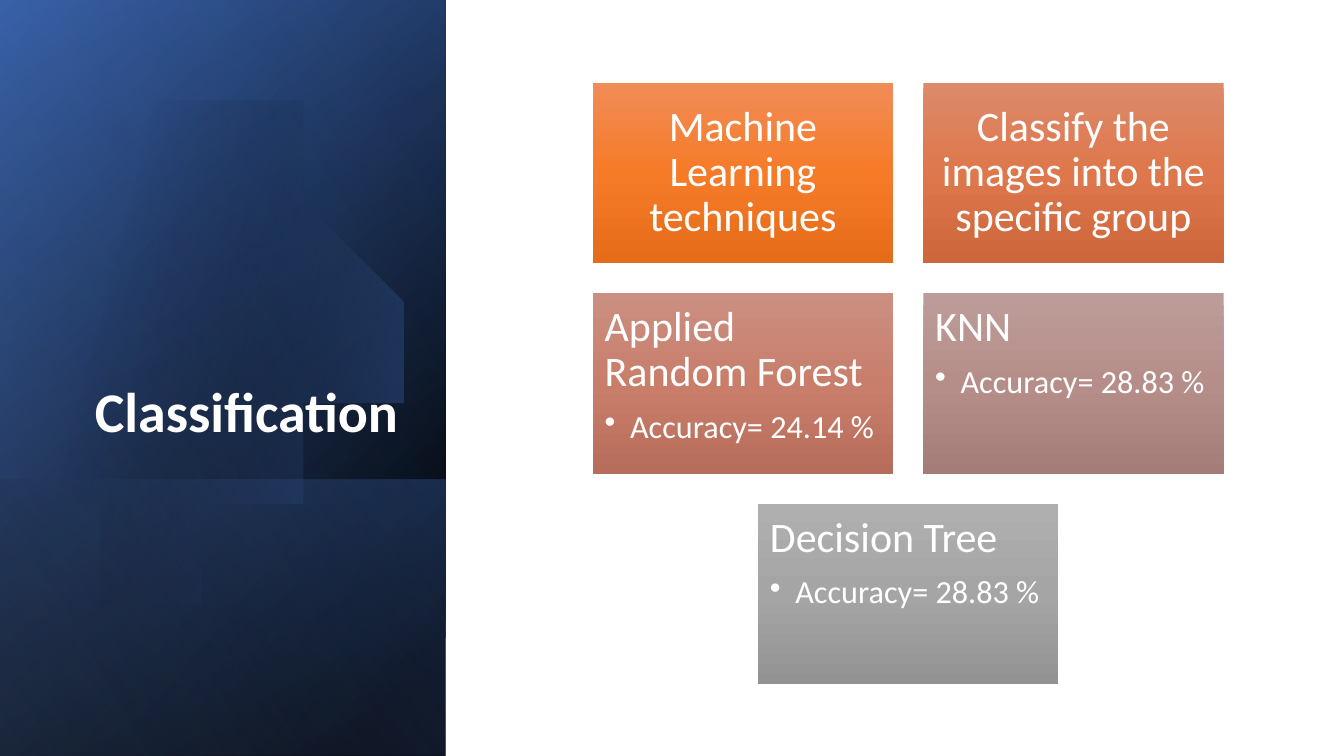
from dataclasses import dataclass

import pptx
import pptx.dml.color
import pptx.enum.shapes
import pptx.enum.text
import pptx.oxml.ns
import pptx.util
from lxml import etree

Cm = pptx.util.Cm
Pt = pptx.util.Pt
qn = pptx.oxml.ns.qn
Align = pptx.enum.text.PP_ALIGN
Anchor = pptx.enum.text.MSO_ANCHOR
RECTANGLE = pptx.enum.shapes.MSO_SHAPE.RECTANGLE


@dataclass(frozen=True)
class Theme:
    font: str = "Calibri"
    text: str = "FFFFFF"
    dark: str = "000000"
    navy: str = "2F5597"
    blue: str = "4472C4"
    pale: str = "8FAADC"
    title_size: int = 40
    heading_size: int = 30
    detail_size: int = 23


THEME = Theme()


@dataclass(frozen=True)
class Stop:
    position: int
    color: str
    opacity: int = 100


@dataclass(frozen=True)
class Panel:
    top: float
    height: float
    angle: int
    stops: tuple[Stop, Stop]


@dataclass(frozen=True)
class Card:
    heading: str
    colors: tuple[str, str, str]
    detail: str = ""


# Sidebar layers, in centimetres
SLIDE_WIDTH, SLIDE_HEIGHT = 33.87, 19.05
SIDEBAR_WIDTH = 11.23
BACK_PANELS = (
    Panel(0, SLIDE_HEIGHT, 50, (Stop(8, THEME.dark), Stop(100, THEME.navy))),
    Panel(0, SLIDE_HEIGHT, 30, (Stop(0, THEME.dark, 0), Stop(99, THEME.blue, 46))),
    Panel(12.09, 6.96, 130, (Stop(2, THEME.blue, 29), Stop(100, THEME.dark, 30))),
)
FRONT_PANEL = Panel(0, SLIDE_HEIGHT, 120, (Stop(0, THEME.dark, 0), Stop(99, THEME.pale, 11)))

# Disc outline in inches: start, then cubic curves (two controls and an end)
Point = tuple[float, float]
DISC_START: Point = (1.49, 1.1)
DISC_RIGHT: tuple[tuple[Point, Point, Point], ...] = (
    ((2.46, 1.12), (3.35, 1.77), (3.63, 2.75)),
    ((3.98, 3.97), (3.28, 5.23), (2.07, 5.58)),
    ((1.31, 5.8), (0.53, 5.61), (-0.03, 5.14)),
)
DISC_EDGE: tuple[Point, ...] = ((-0.15, 5.03), (-0.15, 1.75), (0, 1.61))
DISC_TOP: tuple[tuple[Point, Point, Point], ...] = (
    ((0.23, 1.42), (0.5, 1.28), (0.8, 1.19)),
    ((1.03, 1.13), (1.26, 1.1), DISC_START),
)

# Card grid, in centimetres
CARD_WIDTH, CARD_HEIGHT, CARD_GAP = 7.57, 4.55, 0.76
CARDS_CENTER, CARDS_TOP, CARD_INSET = 22.89, 2.08, 0.3
CARD_ROWS = (
    (
        Card("Machine Learning techniques", ("F18C57", "F67B28", "E56C19")),
        Card("Classify the images into the specific group", ("DD8A6A", "DE774B", "CD673B")),
    ),
    (
        Card("Applied Random Forest", ("CB8F81", "C97E6B", "B76D5B"), "Accuracy= 24.14 %"),
        Card("KNN", ("BC9C99", "B68E89", "A47C78"), "Accuracy= 28.83 %"),
    ),
    (Card("Decision Tree", ("AFAFAF", "A5A5A5", "939393"), "Accuracy= 28.83 %"),),
)


def paint(shape, stops: tuple[Stop, ...], angle: int) -> None:
    """Give a shape a linear gradient without line or shadow."""
    shape.shadow.inherit = False
    shape.line.fill.background()
    shape.fill.gradient()
    gradient = shape._element.spPr.find(qn("a:gradFill"))
    gradient.find(qn("a:lin")).set("ang", str(angle * 60000))
    stop_list = gradient.find(qn("a:gsLst"))
    for old_stop in list(stop_list):
        stop_list.remove(old_stop)
    for stop in stops:
        entry = etree.SubElement(stop_list, qn("a:gs"), pos=str(stop.position * 1000))
        color = etree.SubElement(entry, qn("a:srgbClr"), val=stop.color)
        if stop.opacity < 100:
            etree.SubElement(color, qn("a:alpha"), val=str(stop.opacity * 1000))


def format_paragraph(paragraph, size: int, alignment, bold: bool = False) -> None:
    paragraph.alignment = alignment
    paragraph.line_spacing = 0.9
    for run in paragraph.runs:
        run.font.name = THEME.font
        run.font.size = Pt(size)
        run.font.bold = bold
        run.font.color.rgb = pptx.dml.color.RGBColor.from_string(THEME.text)


def add_panel(slide, panel: Panel) -> None:
    """Draw a sidebar layer, mirrored and turned a quarter."""
    left = (SIDEBAR_WIDTH - panel.height) / 2
    top = panel.top + (panel.height - SIDEBAR_WIDTH) / 2
    shape = slide.shapes.add_shape(
        RECTANGLE, Cm(left), Cm(top), Cm(panel.height), Cm(SIDEBAR_WIDTH)
    )
    shape.rotation = 90
    shape._element.spPr.find(qn("a:xfrm")).set("flipH", "1")
    paint(shape, panel.stops, panel.angle)


def trace_curves(start: Point, curves: tuple[tuple[Point, Point, Point], ...]) -> list[Point]:
    """Sample points along joined cubic curves."""
    points = []
    steps = 24
    for first, second, end in curves:
        for step in range(1, steps + 1):
            t = step / steps
            weights = ((1 - t) ** 3, 3 * t * (1 - t) ** 2, 3 * t**2 * (1 - t), t**3)
            corners = (start, first, second, end)
            points.append(tuple(
                sum(weight * corner[axis] for weight, corner in zip(weights, corners))
                for axis in (0, 1)
            ))
        start = end
    return points


def add_disc(slide) -> None:
    points = [
        *trace_curves(DISC_START, DISC_RIGHT),
        *DISC_EDGE,
        *trace_curves(DISC_EDGE[-1], DISC_TOP),
    ]
    builder = slide.shapes.build_freeform(*DISC_START, scale=Cm(2.54))
    builder.add_line_segments(points, close=True)
    paint(builder.convert_to_shape(), (Stop(29, THEME.dark, 0), Stop(100, THEME.blue, 43)), 14)


def add_title(slide) -> None:
    title = slide.shapes.title
    title.left, title.top, title.width, title.height = Cm(1.63), Cm(4.67), Cm(8.66), Cm(6.65)
    title.text_frame.text = "Classification"
    title.text_frame.vertical_anchor = Anchor.BOTTOM
    format_paragraph(title.text_frame.paragraphs[0], THEME.title_size, Align.RIGHT, bold=True)
    slide.shapes._spTree.append(title._element)  # in front of the sidebar


def add_card(slide, card: Card, left: float, top: float) -> None:
    shape = slide.shapes.add_shape(RECTANGLE, Cm(left), Cm(top), Cm(CARD_WIDTH), Cm(CARD_HEIGHT))
    paint(shape, tuple(Stop(50 * i, color) for i, color in enumerate(card.colors)), 90)
    frame = shape.text_frame
    frame.word_wrap = True
    frame.margin_left = frame.margin_right = Cm(CARD_INSET)
    frame.margin_top = frame.margin_bottom = Cm(CARD_INSET)
    frame.vertical_anchor = Anchor.TOP if card.detail else Anchor.MIDDLE
    frame.text = card.heading
    heading = frame.paragraphs[0]
    format_paragraph(heading, THEME.heading_size, Align.LEFT if card.detail else Align.CENTER)
    if card.detail:
        heading.space_after = Pt(10.5)
        detail = frame.add_paragraph()
        detail.text = card.detail
        detail.level = 1
        format_paragraph(detail, THEME.detail_size, Align.LEFT)
        properties = detail._p.get_or_add_pPr()
        properties.set("marL", str(Cm(0.64)))
        properties.set("indent", str(-Cm(0.64)))
        etree.SubElement(properties, qn("a:buChar"), char="•")


def main() -> None:
    presentation = pptx.Presentation()
    presentation.slide_width, presentation.slide_height = Cm(SLIDE_WIDTH), Cm(SLIDE_HEIGHT)
    slide = presentation.slides.add_slide(presentation.slide_layouts.get_by_name("Title Only"))

    # Sidebar
    for panel in BACK_PANELS:
        add_panel(slide, panel)
    add_disc(slide)
    add_panel(slide, FRONT_PANEL)
    add_title(slide)

    # Cards, each row centred
    for row, cards in enumerate(CARD_ROWS):
        row_width = len(cards) * (CARD_WIDTH + CARD_GAP) - CARD_GAP
        for column, card in enumerate(cards):
            left = CARDS_CENTER - row_width / 2 + column * (CARD_WIDTH + CARD_GAP)
            add_card(slide, card, left, CARDS_TOP + row * (CARD_HEIGHT + CARD_GAP))

    presentation.save("out.pptx")


if __name__ == "__main__":
    main()
